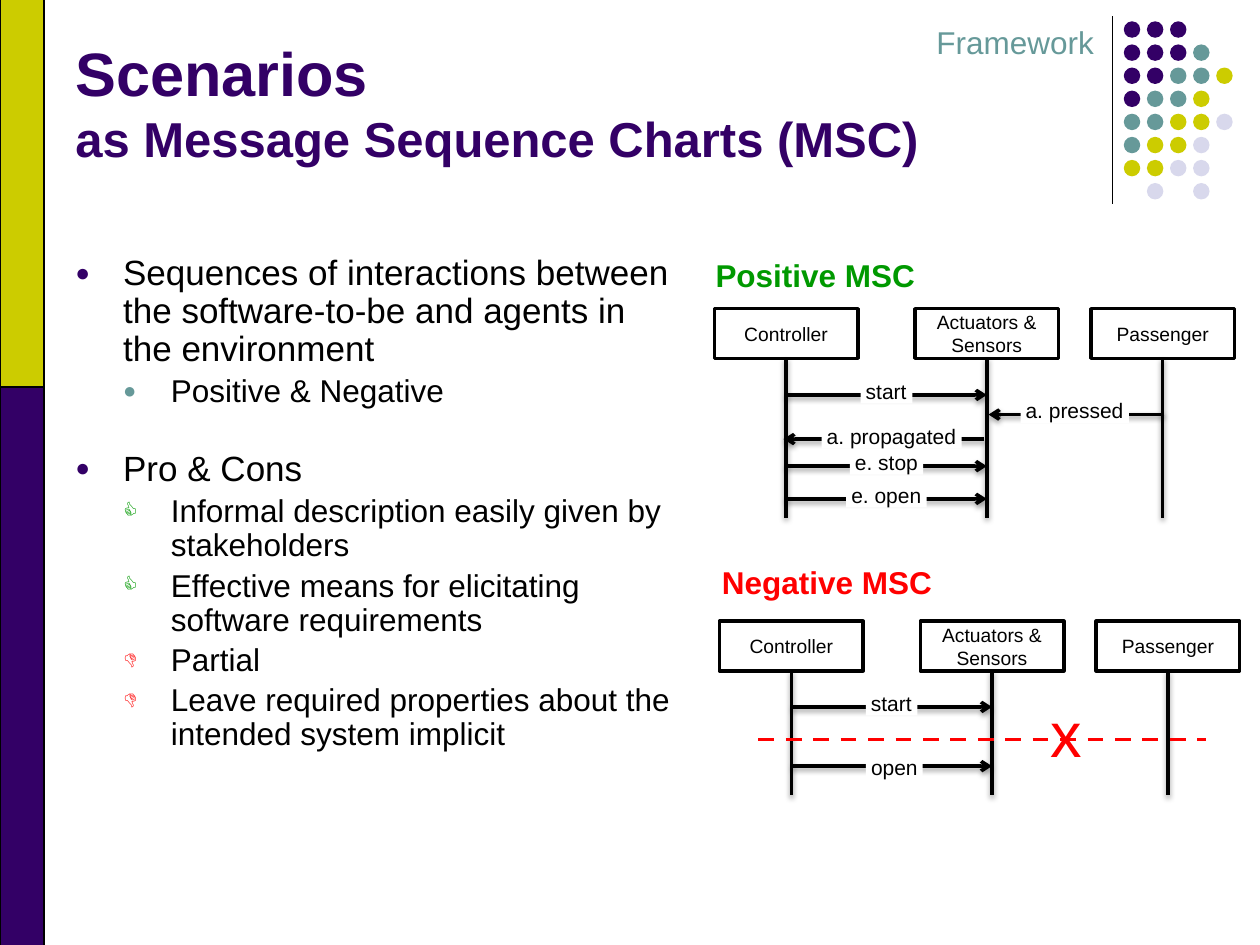
"""Build the slide on scenarios as message sequence charts."""
from lxml import etree
from pptx import Presentation
from pptx import util as u
from pptx.dml.color import RGBColor
from pptx.enum import dml, shapes, text
from pptx.oxml import ns

COLORS = {
    "purple": "330066", "teal": "669999", "olive": "CCCC00", "lilac": "D8D8EC",
    "black": "000000", "white": "FFFFFF", "green": "009900", "red": "FF0000",
}
FONT = "Arial"

DOT_ROWS = ["PPP", "PPPT", "PPTTO", "PTTO", "TTOOL", "TOOL", "OOLL", " L L"]
DOT_COLORS = {"P": "purple", "T": "teal", "O": "olive", "L": "lilac"}
SIDE_BARS = [(541.4, "purple"), (221.8, "olive")]

TITLE = [("Scenarios", 35), ("as Message Sequence Charts (MSC)", 28)]
BULLETS = [
    (0, "●", "purple", 4, "Sequences of interactions between the software-to-be and agents in the environment"),
    (1, "●", "teal", 3.6, "Positive & Negative"),
    (0, "●", "purple", 24, "Pro & Cons"),
    (1, "👍", "green", 3.6, "Informal description easily given by stakeholders"),
    (1, "👍", "green", 3.6, "Effective means for elicitating software requirements"),
    (1, "👎", "red", 3.6, "Partial"),
    (1, "👎", "red", 3.6, "Leave required properties about the intended system implicit"),
]
LEVEL_SIZES = [20, 18]

AGENTS = [("Controller", 0), ("Actuators & Sensors", 114.7), ("Passenger", 215.2)]
AGENT_WIDTH, AGENT_HEIGHT = 82, 28.4
MESSAGE_FIELDS = ("label", "width", "sender", "receiver", "y", "shift", "label_dx", "label_dy")
CHARTS = [
    {"heading": ("Positive MSC", "green", 401.8, 142.6, 129.6),
     "origin": (408.2, 176.4), "life": 91,
     "messages": [
         ("start", 29.5, 0, 1, 49.3, 0, 0, -9.5),
         ("a. pressed", 62, 2, 1, 60.5, 1, 0, -9.5),
         ("e. stop", 41.8, 0, 1, 90, 0, 0, -9.5),
         ("e. open", 46, 0, 1, 108.7, 0, 0, -9.5),
         ("a. propagated", 80, 1, 0, 74.5, -1.5, 3, -9),
     ]},
    {"heading": ("Negative MSC", "red", 405.4, 318.2, 135.4),
     "origin": (411.2, 355), "life": 71,
     "messages": [
         ("start", 29.5, 0, 1, 49, 0, 0, -9.5),
         ("open", 32.4, 0, 1, 82.8, 0, 1.5, -6.5),
     ]},
]


def rgb(name):
    return RGBColor.from_string(COLORS[name])


def style(font, size, color, bold=False):
    font.name, font.bold, font.color.rgb = FONT, bold, rgb(color)
    if size:
        font.size = u.Pt(size)


def write(box, words, size, color, bold=False, align=text.PP_ALIGN.LEFT):
    para = box.text_frame.paragraphs[0]
    para.text, para.alignment = words, align
    style(para.font, size, color, bold)


def add_text_box(page, x, y, width, height, wrap=True):
    box = page.shapes.add_textbox(u.Pt(x), u.Pt(y), u.Pt(width), u.Pt(height))
    box.text_frame.word_wrap = wrap
    return box


def add_box(page, x, y, width, height, fill, line_width=0, kind=shapes.MSO_SHAPE.RECTANGLE):
    box = page.shapes.add_shape(kind, u.Pt(x), u.Pt(y), u.Pt(width), u.Pt(height))
    box.shadow.inherit = False
    box.fill.solid()
    box.fill.fore_color.rgb = rgb(fill)
    if line_width:
        box.line.color.rgb = rgb("black")
        box.line.width = u.Pt(line_width)
    else:
        box.line.fill.background()
    return box


def add_line(page, x1, y1, x2, y2, width=2, color="black", arrow=False, shadow=True):
    line = page.shapes.add_connector(
        shapes.MSO_CONNECTOR.STRAIGHT, u.Pt(x1), u.Pt(y1), u.Pt(x2), u.Pt(y2))
    line.line.color.rgb = rgb(color)
    line.line.width = u.Pt(width)
    if arrow:
        etree.SubElement(line.line._get_or_add_ln(), ns.qn("a:tailEnd"), type="arrow")
    effects = etree.SubElement(line._element.spPr, ns.qn("a:effectLst"))
    if shadow:
        outer = etree.SubElement(
            effects, ns.qn("a:outerShdw"), blurRad=str(u.Pt(3.1)), dist=str(u.Pt(1.6)),
            dir="5400000", rotWithShape="0")
        tint = etree.SubElement(outer, ns.qn("a:srgbClr"), val=COLORS["black"])
        etree.SubElement(tint, ns.qn("a:alpha"), val="38000")
    return line


def add_bullet(para, level, mark, color):
    props = para._p.get_or_add_pPr()
    props.set("marL", str(u.Pt(27.3 * (level + 1))))
    props.set("indent", str(u.Pt(-27.3)))
    tint = etree.SubElement(props, ns.qn("a:buClr"))
    etree.SubElement(tint, ns.qn("a:srgbClr"), val=COLORS[color])
    etree.SubElement(props, ns.qn("a:buSzPct"), val="70000")
    etree.SubElement(props, ns.qn("a:buFont"), typeface=FONT)
    etree.SubElement(props, ns.qn("a:buChar"), char=mark)


def add_decoration(page):
    add_line(page, 635.8, 9.4, 635.8, 116.6, 0.75, shadow=False)
    for row, marks in enumerate(DOT_ROWS):
        for column, mark in enumerate(marks):
            if mark in DOT_COLORS:
                add_box(page, 642.2 + 13.2 * column, 12.2 + 13.2 * row, 9.4, 9.4,
                        DOT_COLORS[mark], kind=shapes.MSO_SHAPE.OVAL)
    for height, color in SIDE_BARS:
        add_box(page, 0, -0.7, 25.2, height, color, 0.75)


def add_title(page):
    box = add_text_box(page, 36, 9.4, 594, 90)
    box.text_frame.vertical_anchor = text.MSO_ANCHOR.BOTTOM
    para = box.text_frame.paragraphs[0]
    style(para.font, None, "purple", True)
    for index, (words, size) in enumerate(TITLE):
        if index:
            para.add_line_break()
        span = para.add_run()
        span.text, span.font.size = words, u.Pt(size)


def add_body(page):
    frame = add_text_box(page, 36, 142.6, 357.8, 360).text_frame
    for index, (level, mark, color, gap, words) in enumerate(BULLETS):
        para = frame.add_paragraph() if index else frame.paragraphs[0]
        para.text, para.level = words, level
        para.line_spacing, para.space_before = 0.9, u.Pt(gap)
        add_bullet(para, level, mark, color)
        style(para.font, LEVEL_SIZES[level], "black")


def add_message(page, left, top, message):
    sender, receiver = (left + AGENTS[message[end]][1] + AGENT_WIDTH / 2
                        for end in ("sender", "receiver"))
    y, shift = top + message["y"], message["shift"]
    add_line(page, sender + shift, y, receiver + shift, y, arrow=True)
    label_x = (sender + receiver - message["width"]) / 2 + message["label_dx"]
    label = add_box(page, label_x, y + message["label_dy"], message["width"], 14.4, "white")
    frame = label.text_frame
    frame.word_wrap = False
    frame.margin_left = frame.margin_right = u.Pt(2.9)
    frame.margin_top = frame.margin_bottom = 0
    write(label, message["label"], 12, "black")


def add_sequence_chart(page, chart):
    left, top = chart["origin"]
    agents = []
    for name, offset in AGENTS:
        agent = add_box(page, left + offset, top, AGENT_WIDTH, AGENT_HEIGHT, "white", 2)
        agent.text_frame.vertical_anchor = text.MSO_ANCHOR.MIDDLE
        write(agent, name, 11, "black", align=text.PP_ALIGN.CENTER)
        agents.append((agent, left + offset + AGENT_WIDTH / 2))
    bottom = top + AGENT_HEIGHT
    for agent, center in agents:
        lifeline = add_line(page, center, bottom, center, bottom + chart["life"])
        lifeline.begin_connect(agent, 2)
    for values in chart["messages"]:
        add_message(page, left, top, dict(zip(MESSAGE_FIELDS, values)))
    words, color, x, y, width = chart["heading"]
    write(add_text_box(page, x, y, width, 28.8, False), words, 18, color, True)


def main():
    deck = Presentation()
    deck.slide_width, deck.slide_height = u.Pt(720), u.Pt(540)
    page = deck.slides.add_slide(deck.slide_layouts[6])
    add_decoration(page)
    add_title(page)
    add_body(page)
    write(add_text_box(page, 337.7, 9.4, 294.5, 28.8), "Framework", 18, "teal",
          align=text.PP_ALIGN.RIGHT)
    for chart in CHARTS:
        add_sequence_chart(page, chart)
    ban = add_line(page, 433.4, 422.6, 689, 422.6, 2.25, "red", shadow=False)
    ban.line.dash_style = dml.MSO_LINE.DASH
    write(add_text_box(page, 593.3, 393.1, 32.4, 51.1, False), "x", 36, "red")
    deck.save("out.pptx")


if __name__ == "__main__":
    main()
